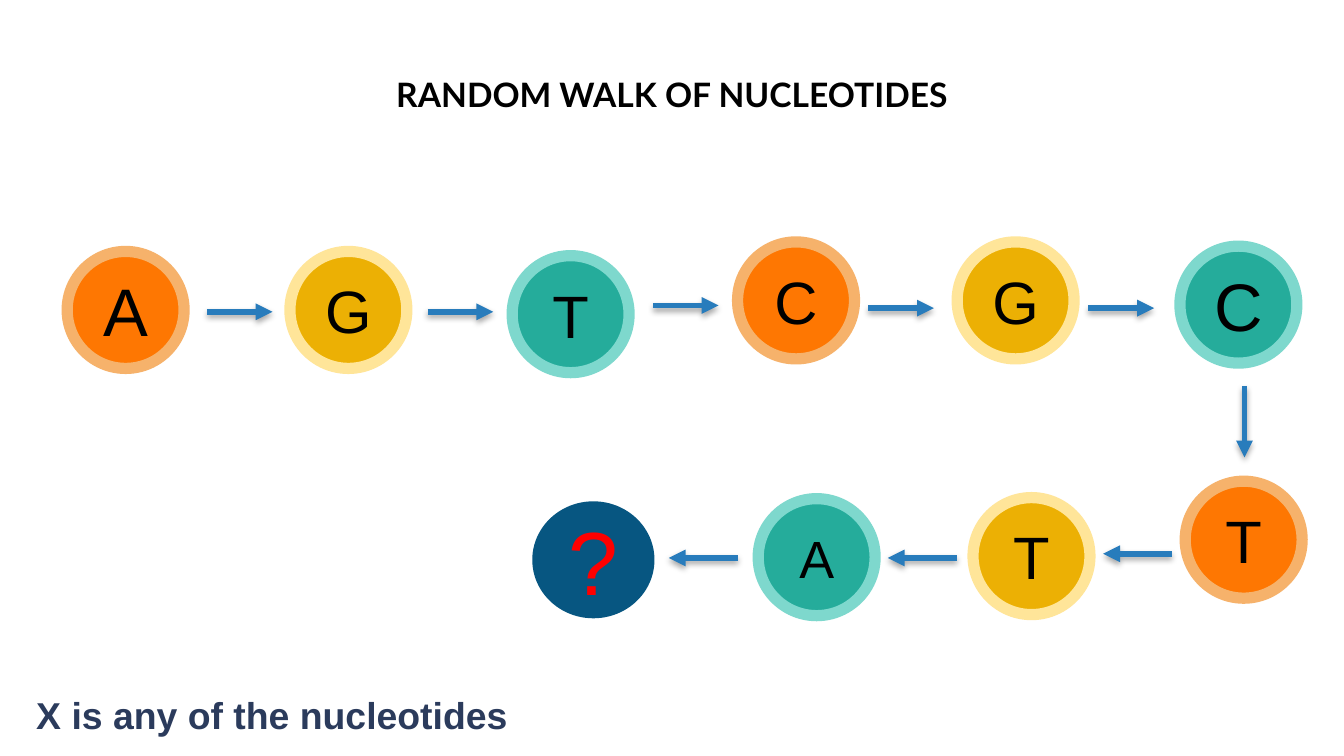
"""Build the slide showing a random walk of nucleotides."""
from itertools import cycle

from lxml import etree
from pptx import Presentation
from pptx.dml.color import RGBColor
from pptx.enum.shapes import MSO_CONNECTOR, MSO_SHAPE
from pptx.enum.text import MSO_ANCHOR, MSO_AUTO_SIZE, PP_ALIGN
from pptx.oxml import parse_xml
from pptx.oxml.ns import nsdecls, qn
from pptx.util import Cm, Pt

CIRCLE, OVAL = MSO_SHAPE.FLOWCHART_CONNECTOR, MSO_SHAPE.OVAL
STRAIGHT = MSO_CONNECTOR.STRAIGHT
TOP, MIDDLE = MSO_ANCHOR.TOP, MSO_ANCHOR.MIDDLE
CENTER, NO_FIT = PP_ALIGN.CENTER, MSO_AUTO_SIZE.NONE

BLACK = RGBColor(0x00, 0x00, 0x00)
RED = RGBColor(0xFF, 0x00, 0x00)
NAVY = RGBColor(0x2B, 0x3B, 0x5C)
DEEP_BLUE = RGBColor(0x07, 0x56, 0x81)
ARROW_BLUE = RGBColor(0x28, 0x7C, 0xBC)
ORANGE = RGBColor(0xFE, 0x77, 0x02), RGBColor(0xF6, 0xB2, 0x6B)
YELLOW = RGBColor(0xEC, 0xB0, 0x04), RGBColor(0xFF, 0xE5, 0x99)
TEAL = RGBColor(0x25, 0xAC, 0x9B), RGBColor(0x7E, 0xD8, 0xCD)

TITLE = "RANDOM WALK OF NUCLEOTIDES"
NOTE = "X is any of the nucleotides"
DIAMETER = 2.21
NUCLEOTIDES = [
    ("A", 36, 1.27, 4.75), ("G", 32, 5.48, 4.75), ("T", 32, 9.68, 4.83),
    ("C", 32, 13.94, 4.57), ("G", 32, 18.09, 4.57), ("C", 36, 22.3, 4.65),
    ("T", 32, 22.4, 9.09), ("T", 32, 18.39, 9.4), ("A", 28, 14.33, 9.42),
]
RIGHT, DOWN, LEFT = (1.24, 0), (0, 1.35), (-1.3, 0)
ARROWS = [
    (RIGHT, [(3.91, 5.89), (8.08, 5.89), (12.34, 5.77), (16.41, 5.82), (20.57, 5.82)]),
    (DOWN, [(23.52, 7.29)]),
    (LEFT, [(22.15, 10.46), (18.08, 10.54), (13.94, 10.54)]),
]
SHADOW = (
    f'<a:effectLst {nsdecls("a")}><a:outerShdw blurRad="40000" dist="23000" '
    'dir="5400000" rotWithShape="0"><a:srgbClr val="000000">'
    '<a:alpha val="35000"/></a:srgbClr></a:outerShdw></a:effectLst>'
)


def write(sp, text, size, color, font="Arial", bold=False, anchor=MIDDLE, inset=0.25):
    tf = sp.text_frame
    tf.word_wrap, tf.auto_size, tf.vertical_anchor = True, NO_FIT, anchor
    tf.margin_left = tf.margin_right = Cm(0.25)
    tf.margin_top = tf.margin_bottom = Cm(inset)
    p = tf.paragraphs[0]
    p.alignment = CENTER
    r = p.add_run()
    r.text = text
    r.font.name, r.font.size, r.font.bold = font, Pt(size), bold
    r.font.color.rgb = color


def add_disc(s, kind, box, fill, ring=None):
    sp = s.shapes.add_shape(kind, *map(Cm, box))
    sp.shadow.inherit = False
    sp.fill.solid()
    sp.fill.fore_color.rgb = fill
    if ring is None:
        sp.line.fill.background()
    else:
        sp.line.color.rgb = ring
        sp.line.width = Pt(6)
    return sp


def add_arrow(s, x, y, dx, dy):
    line = s.shapes.add_connector(STRAIGHT, Cm(x), Cm(y), Cm(x + dx), Cm(y + dy))
    line.line.color.rgb = ARROW_BLUE
    line.line.width = Pt(3)
    etree.SubElement(line.line._get_or_add_ln(), qn("a:tailEnd"), type="triangle")
    line._element.spPr.append(parse_xml(SHADOW))


def main():
    prs = Presentation()
    prs.slide_width, prs.slide_height = Cm(25.4), Cm(14.28)
    s = prs.slides.add_slide(prs.slide_layouts[5])

    title = s.shapes.title
    title.left, title.top, title.width, title.height = map(Cm, (1.27, 1.14, 22.86, 0.94))
    write(title, TITLE, 18, BLACK, font="Lato", bold=True, anchor=TOP)

    for (letter, size, x, y), colors in zip(NUCLEOTIDES, cycle((ORANGE, YELLOW, TEAL))):
        sp = add_disc(s, CIRCLE, (x, y, DIAMETER, DIAMETER), *colors)
        write(sp, letter, size, BLACK)
    unknown = add_disc(s, OVAL, (10.06, 9.47, 2.31, 2.21), DEEP_BLUE)
    write(unknown, "?", 48, RED)

    for step, starts in ARROWS:
        for start in starts:
            add_arrow(s, *start, *step)

    note = s.shapes.add_textbox(*map(Cm, (0.05, 12.95, 10.19, 1.12)))
    write(note, NOTE, 20, NAVY, bold=True, anchor=TOP, inset=0.13)
    prs.save("out.pptx")


if __name__ == "__main__":
    main()
